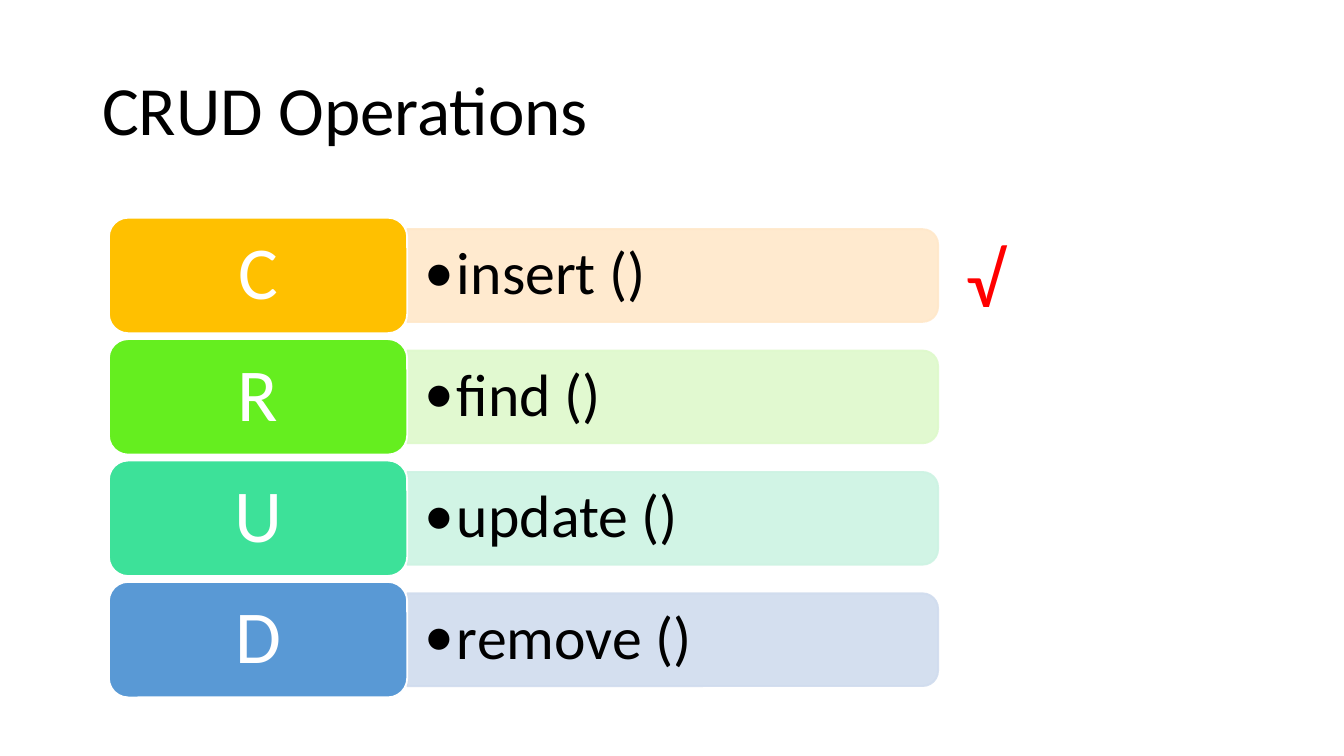
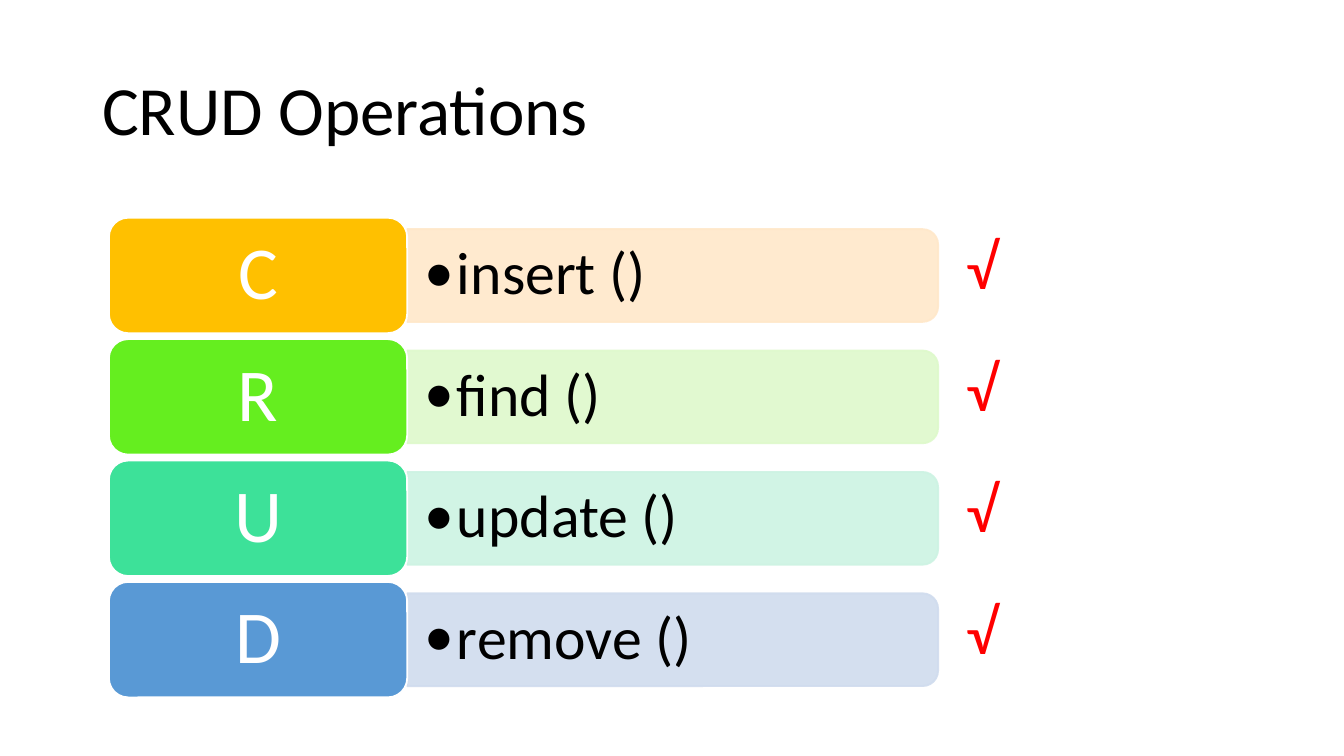
from typing import NamedTuple

from lxml.etree import SubElement
from pptx import Presentation
from pptx.dml.color import RGBColor
from pptx.enum.shapes import MSO_SHAPE as Preset
from pptx.enum.text import MSO_ANCHOR as Anchor, PP_ALIGN as Align
from pptx.oxml.ns import qn
from pptx.util import Inches, Pt

FONT = "Calibri"
COLORS = {
    "text": "000000", "white": "FFFFFF", "check": "FF0000",
    "create": "FFC000", "create_bar": "FFE8CA",
    "read": "65EE1F", "read_bar": "DEF9CB",
    "update": "3DE199", "update_bar": "CDF3E3",
    "delete": "5999D5", "delete_bar": "D0DCEE",
}


class Box(NamedTuple):
    left: float
    top: float
    width: float
    height: float


class Column(NamedTuple):
    left: float
    width: float
    height: float


class Operation(NamedTuple):
    letter: str
    method: str
    color: str


class Checks(NamedTuple):
    count: int
    top: float
    size: float
    line_spacing: float


OPERATIONS = (
    Operation("C", "insert ()", "create"),
    Operation("R", "find ()", "read"),
    Operation("U", "update ()", "update"),
    Operation("D", "remove ()", "delete"),
)
SLIDE_CHECKS = (Checks(1, 1.76, 41, 0.9), Checks(4, 1.8, 34, 0.7))
TITLE_BOX = Box(0.69, 0.3, 8.62, 1.09)
BOARD_TOP, BOARD_HEIGHT = 1.62, 3.57
LABEL = Column(0.81, 2.22, 0.86)
LETTER = Column(0.85, 2.14, 0.78)
BAR = Column(3.03, 3.95, 0.69)
METHOD = Column(3.03, 3.92, 0.62)
CHECK = Column(7.12, 2.2, 3.31)
ROW_PITCH = (BOARD_HEIGHT - LABEL.height) / (len(OPERATIONS) - 1)
CHECK_GAP = 36.5


def cell(column: Column, row: int) -> Box:
    """Return the box of a column centred on a row of the board."""
    center = BOARD_TOP + LABEL.height / 2 + row * ROW_PITCH
    return Box(column.left, center - column.height / 2, column.width, column.height)


def set_alpha(fill, percent: int) -> None:
    """Make a solid fill partly transparent."""
    color = fill._xPr.find(qn("a:solidFill"))[0]
    SubElement(color, qn("a:alpha"), val=str(percent * 1000))


def add_bullet(paragraph, indent: float) -> None:
    """Give a paragraph a hanging round bullet."""
    properties = paragraph._p.get_or_add_pPr()
    properties.set("marL", str(Inches(indent)))
    properties.set("indent", str(-Inches(indent)))
    bullet_color = SubElement(properties, qn("a:buClr"))
    SubElement(bullet_color, qn("a:srgbClr"), val=COLORS["text"])
    SubElement(properties, qn("a:buFont"), typeface=FONT)
    SubElement(properties, qn("a:buChar"), char="•")


def add_text(slide, box: Box, text: str, *, size: float, color: str = "text",
             align=Align.LEFT, anchor=Anchor.MIDDLE, insets: tuple = (0.07, 0.04),
             line_spacing: float = 0.9, gap: float = 0, bullet: bool = False) -> None:
    """Add a text box with one paragraph for each line of text."""
    frame = slide.shapes.add_textbox(*map(Inches, box)).text_frame
    frame.word_wrap = True
    frame.vertical_anchor = anchor
    frame.margin_left = frame.margin_right = Inches(insets[0])
    frame.margin_top = frame.margin_bottom = Inches(insets[1])
    for index, line in enumerate(text.split("\n")):
        paragraph = frame.add_paragraph() if index else frame.paragraphs[0]
        if bullet:
            add_bullet(paragraph, 0.24)
        paragraph.alignment = align
        paragraph.line_spacing = line_spacing
        if index:
            paragraph.space_before = Pt(gap)
        run = paragraph.add_run()
        run.text = line
        run.font.name = FONT
        run.font.size = Pt(size)
        run.font.color.rgb = RGBColor.from_string(COLORS[color])


def add_block(slide, preset, box: Box, fill: str, line: str):
    """Add a filled preset shape with a thin outline."""
    shape = slide.shapes.add_shape(preset, *map(Inches, box))
    shape.shadow.inherit = False
    shape.fill.solid()
    shape.fill.fore_color.rgb = RGBColor.from_string(COLORS[fill])
    shape.line.width = Pt(1)
    shape.line.color.rgb = RGBColor.from_string(COLORS[line])
    return shape


def add_bar(slide, box: Box, color: str) -> None:
    """Add a translucent bar whose right end is rounded."""
    upright = Box(box.left + (box.width - box.height) / 2,
                  box.top + (box.height - box.width) / 2, box.height, box.width)
    bar = add_block(slide, Preset.ROUND_2_SAME_RECTANGLE, upright, color, color)
    bar.rotation = 90
    for fill in (bar.fill, bar.line.fill):
        set_alpha(fill, 90)


def add_operation(slide, row: int, operation: Operation) -> None:
    """Draw one row of the board."""
    add_bar(slide, cell(BAR, row), f"{operation.color}_bar")
    add_text(slide, cell(METHOD, row), operation.method, size=32,
             insets=(0.13, 0.07), bullet=True)
    add_block(slide, Preset.ROUNDED_RECTANGLE, cell(LABEL, row), operation.color, "white")
    add_text(slide, cell(LETTER, row), operation.letter, size=40, color="white",
             align=Align.CENTER, insets=(0.17, 0.08))


def add_crud_slide(presentation, checks: Checks) -> None:
    """Add the board of operations with its check marks."""
    slide = presentation.slides.add_slide(presentation.slide_layouts[6])
    add_text(slide, TITLE_BOX, "CRUD Operations", size=37)
    add_text(slide, Box(CHECK.left, checks.top, CHECK.width, CHECK.height),
             "\n".join("√" * checks.count), size=checks.size, color="check",
             anchor=Anchor.TOP, line_spacing=checks.line_spacing, gap=CHECK_GAP)
    for row, operation in enumerate(OPERATIONS):
        add_operation(slide, row, operation)


def main() -> None:
    """Build and save the presentation."""
    presentation = Presentation()
    presentation.slide_width = Inches(10)
    presentation.slide_height = presentation.slide_width * 9 // 16
    for checks in SLIDE_CHECKS:
        add_crud_slide(presentation, checks)
    presentation.save("out.pptx")


if __name__ == "__main__":
    main()
